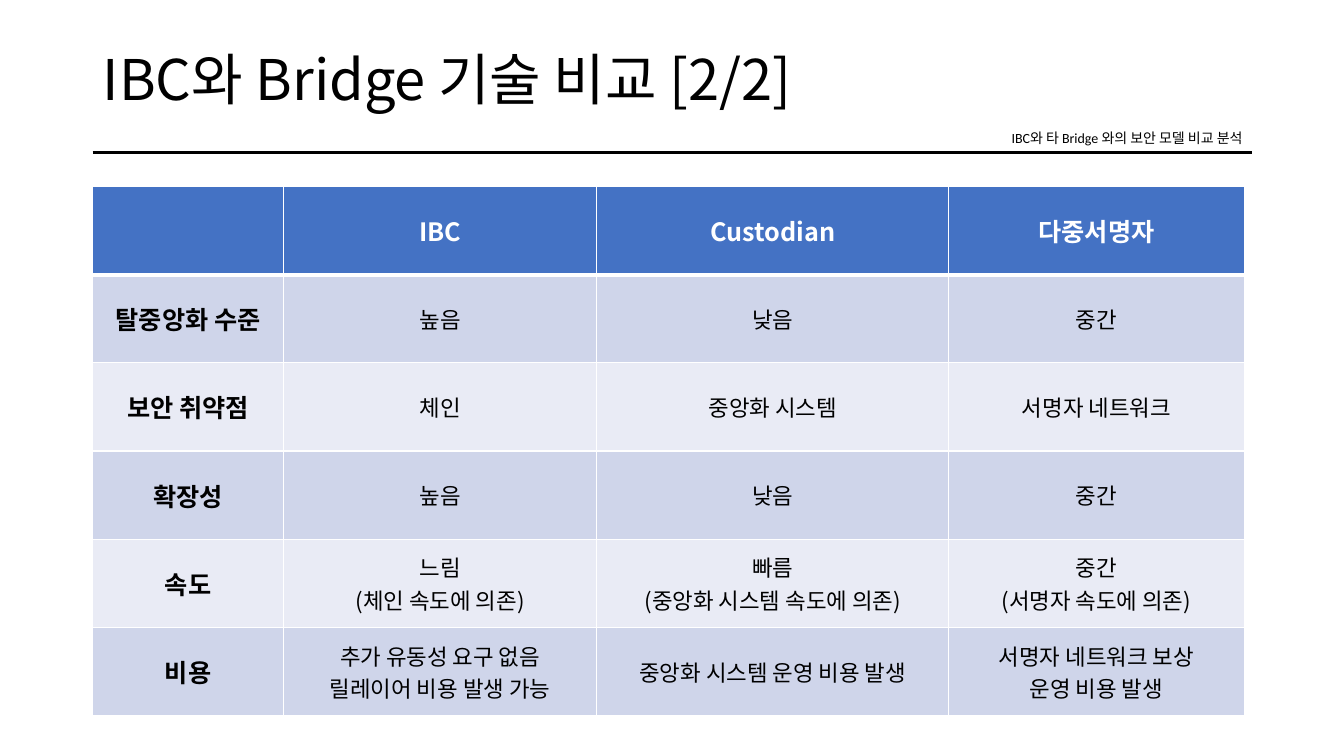
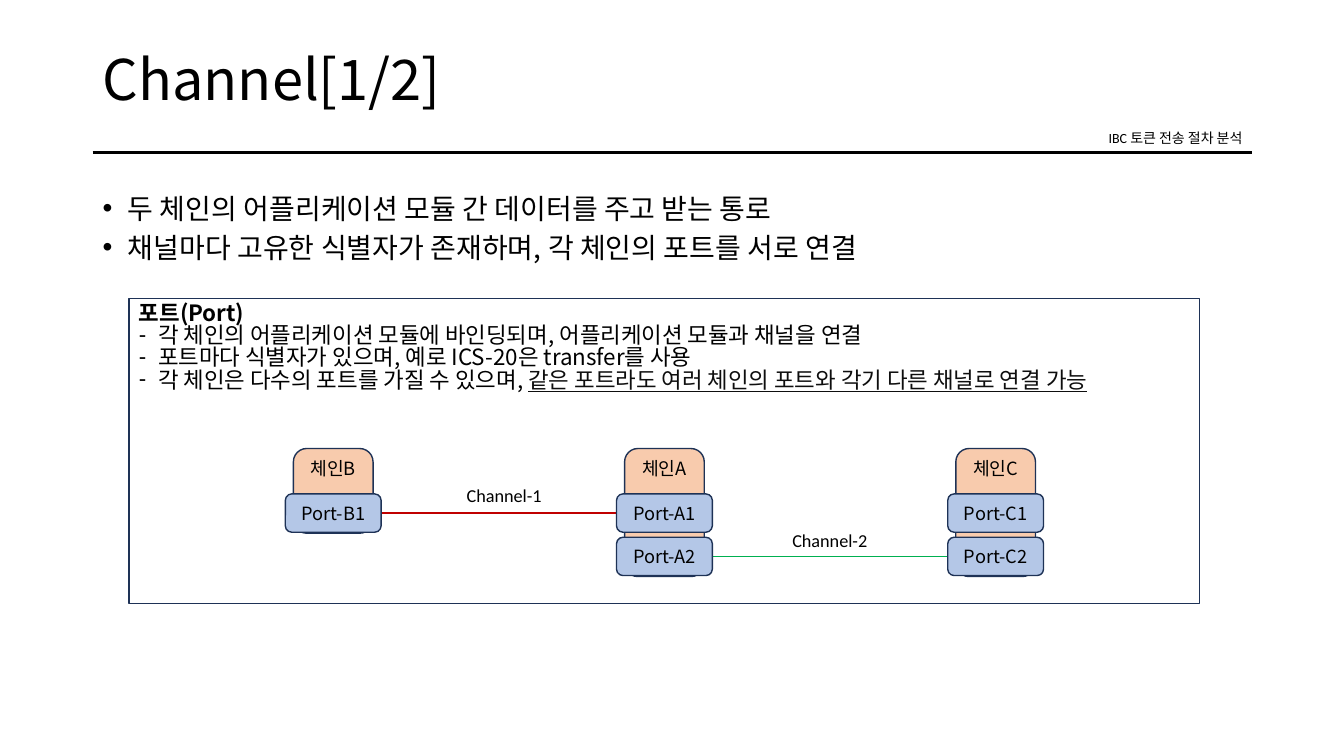
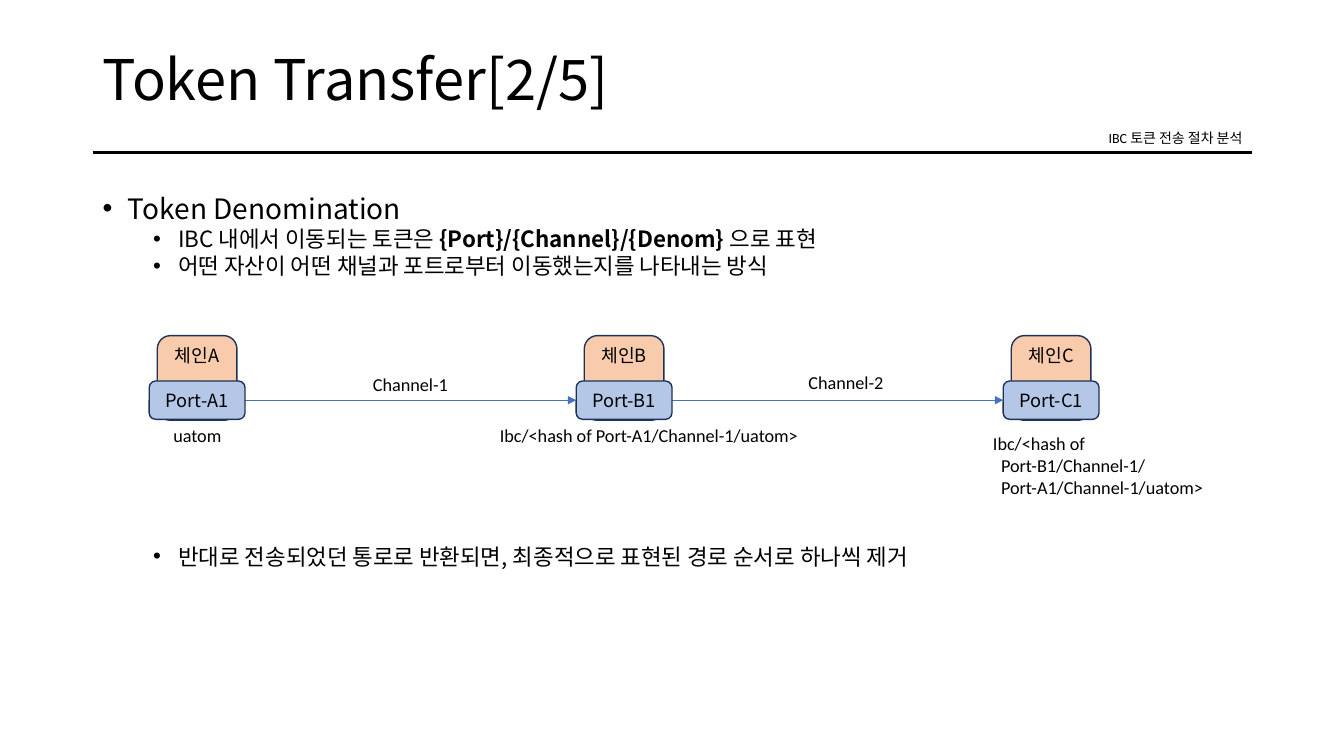
from lxml import etree
from pptx import Presentation
from pptx.dml.color import RGBColor
from pptx.enum import shapes, text
from pptx.oxml.ns import qn
from pptx.util import Inches, Pt

HUE = {"ink": "000000", "soft": "0E0E0E", "white": "FFFFFF", "edge": "1E3256",
       "blue": "4472C4", "odd": "CFD5EA", "even": "E9EBF5",
       "chain": "F8CBAD", "port": "B4C7E7", "red": "C00000", "green": "00B050"}
NOTO, CALI = "Noto Sans CJK KR", "Calibri"
LEFT, WIDE = 0.92, 11.5
PORT_W, PORT_H, PORT_GAP, PORT_TOP = 0.95, 0.38, 0.43, 0.45
CHAIN_W, CHAIN_H = 0.79, 0.84
MID, RIGHT = text.PP_ALIGN.CENTER, text.PP_ALIGN.RIGHT
KIND = shapes.MSO_SHAPE


def rgb(name):
    return RGBColor.from_string(HUE[name])


def sub(node, tag, **attrs):
    return etree.SubElement(node, qn(tag), **attrs)


# ---- Text ----
def add_run(par, words, size=13, font=NOTO, color="ink", bold=False, under=False):
    run = par.add_run()
    run.text = words
    face = run.font
    face.size, face.name, face.bold = Pt(size), font, bold
    face.color.rgb = rgb(color)
    if under:
        face.underline = True
    sub(run.font._element, "a:ea", typeface=NOTO)


def set_par(par, align=None, line=None, gap=0, bullet=None, left=0, hang=0):
    if align is not None:
        par.alignment = align
    if line:
        par.line_spacing = line
    if gap:
        par.space_before = Pt(gap)
    props = par._p.get_or_add_pPr()
    if left:
        props.set("marL", str(Inches(left)))
        props.set("indent", str(Inches(-hang)))
    if bullet:
        sub(props, "a:buFont", typeface="Arial")
        sub(props, "a:buChar", char=bullet)


def put(frame, pars, **fmt):
    """Fill a frame; a paragraph is a string or (runs, format), a run a string or (words, format)."""
    lay = ("align", "line", "gap", "bullet", "left", "hang")
    for i, item in enumerate(pars):
        runs, own = item if isinstance(item, tuple) else (item, {})
        own = {**fmt, **own}
        if i == 0:
            own["gap"] = 0
        par = frame.paragraphs[0] if i == 0 else frame.add_paragraph()
        set_par(par, **{k: v for k, v in own.items() if k in lay})
        face = {k: v for k, v in own.items() if k not in lay}
        for run in [runs] if isinstance(runs, str) else runs:
            words, more = run if isinstance(run, tuple) else (run, {})
            add_run(par, words, **{**face, **more})


def add_text(slide, box, pars, wrap=True, mid=False, **fmt):
    frame = slide.shapes.add_textbox(*map(Inches, box)).text_frame
    frame.word_wrap = wrap
    if mid:
        frame.vertical_anchor = text.MSO_ANCHOR.MIDDLE
    put(frame, pars, **fmt)


def add_label(slide, x, y, w, *pars):
    add_text(slide, (x, y, w, 0.32 + 0.22 * (len(pars) - 1)), pars, wrap=False, font=CALI)


# ---- Shapes and lines ----
def add_box(slide, kind, box, pars, fill=None, mid=False, **fmt):
    shape = slide.shapes.add_shape(kind, *map(Inches, box))
    shape.shadow.inherit = False
    if fill:
        shape.fill.solid()
        shape.fill.fore_color.rgb = rgb(fill)
    else:
        shape.fill.background()
    shape.line.color.rgb = rgb("edge")
    shape.line.width = Pt(1)
    frame = shape.text_frame
    frame.word_wrap = True
    anchor = text.MSO_ANCHOR
    frame.vertical_anchor = anchor.MIDDLE if mid else anchor.TOP
    put(frame, pars, **fmt)


def add_line(slide, x1, x2, y, color, width, arrow=False):
    line = slide.shapes.add_connector(
        shapes.MSO_CONNECTOR.STRAIGHT, *map(Inches, (x1, y, x2, y)))
    line.line.color.rgb = rgb(color)
    line.line.width = Pt(width)
    if arrow:
        sub(line.line._get_or_add_ln(), "a:tailEnd", type="triangle")
    sub(line._element.spPr, "a:effectLst")


# ---- Shared slide head ----
def new_slide(deck, title, topic):
    slide = deck.slides.add_slide(deck.slide_layouts[6])
    add_text(slide, (LEFT, 0.4, WIDE, 0.83), [title], mid=True, size=40, line=0.9)
    add_text(slide, (LEFT, 1.24, WIDE, 0.27), [topic], mid=True,
             size=10, font=CALI, align=RIGHT, line=0.9)
    add_line(slide, LEFT, LEFT + WIDE, 1.51, "ink", 2.25)
    return slide


def add_body(slide, top, height, pars):
    add_text(slide, (LEFT, top, WIDE, height), pars, size=20, line=0.75,
             gap=10, bullet="•", left=0.25, hang=0.25)


# ---- Chains ----
def add_chain(slide, x, y, name, ports):
    tall = CHAIN_H + PORT_GAP * (len(ports) - 1)
    add_box(slide, KIND.ROUNDED_RECTANGLE, (x + (PORT_W - CHAIN_W) / 2, y, CHAIN_W, tall),
            [name], fill="chain", align=MID)
    for i, port in enumerate(ports):
        add_box(slide, KIND.ROUNDED_RECTANGLE,
                (x, y + PORT_TOP + i * PORT_GAP, PORT_W, PORT_H),
                [port], fill="port", mid=True, align=MID)


def add_row(slide, x, y, step, chains, links, **fmt):
    """Chains at equal steps; a link joins chain i to chain i + 1 at port row n."""
    for i, n, color, width in links:
        start = x + i * step
        add_line(slide, start + PORT_W, start + step,
                 y + PORT_TOP + PORT_H / 2 + n * PORT_GAP, color, width, **fmt)
    for i, (name, ports) in enumerate(chains):
        add_chain(slide, x + i * step, y, name, ports)


# ---- Table ----
def edge_cell(cell, head):
    props = cell._tc.get_or_add_tcPr()
    for side in "LRTB":
        width = 3 if head and side == "B" else 1
        line = sub(props, "a:ln" + side, w=str(Pt(width)))
        sub(sub(line, "a:solidFill"), "a:srgbClr", val=HUE["white"])


def add_grid(slide, box, cols, rows):
    table = slide.shapes.add_table(len(rows), len(cols), *map(Inches, box)).table
    for col, width in zip(table.columns, cols):
        col.width = Inches(width)
    for r, row in enumerate(rows):
        table.rows[r].height = Inches(box[3] / len(rows))
        for c, words in enumerate(row):
            cell, head = table.cell(r, c), r == 0
            edge_cell(cell, head)
            cell.fill.solid()
            cell.fill.fore_color.rgb = rgb("blue" if head else "odd" if r % 2 else "even")
            cell.vertical_anchor = text.MSO_ANCHOR.MIDDLE
            bold = head or c == 0
            if words:
                put(cell.text_frame, words.split("\n"), align=MID, bold=bold,
                    size=18 if bold else 16, color="white" if head else "ink")


# ---- Slides ----
def compare(deck):
    slide = new_slide(deck, "IBC와 Bridge 기술 비교 [2/2]",
                      "IBC와 타 Bridge 와의 보안 모델 비교 분석")
    add_grid(slide, (LEFT, 1.85, 11.42, 5.25), (1.89, 3.11, 3.49, 2.93), [
        ("", "IBC", "Custodian", "다중서명자"),
        ("탈중앙화 수준", "높음", "낮음", "중간"),
        ("보안 취약점", "체인", "중앙화 시스템", "서명자 네트워크"),
        ("확장성", "높음", "낮음", "중간"),
        ("속도", "느림\n(체인 속도에 의존)", "빠름\n(중앙화 시스템 속도에 의존)",
         "중간\n(서명자 속도에 의존)"),
        ("비용", "추가 유동성 요구 없음\n릴레이어 비용 발생 가능",
         "중앙화 시스템 운영 비용 발생", "서명자 네트워크 보상\n운영 비용 발생")])


def channel(deck):
    slide = new_slide(deck, "Channel[1/2]", "IBC 토큰 전송 절차 분석")
    add_body(slide, 1.93, 1, [
        "두 체인의 어플리케이션 모듈 간 데이터를 주고 받는 통로",
        "채널마다 고유한 식별자가 존재하며, 각 체인의 포트를 서로 연결"])
    dash = {"bullet": "-", "left": 0.19, "hang": 0.19}
    add_box(slide, KIND.RECTANGLE, (1.28, 2.96, 10.62, 3.03), [
        ("포트(Port)", {"bold": True}),
        ("각 체인의 어플리케이션 모듈에 바인딩되며, 어플리케이션 모듈과 채널을 연결", dash),
        ("포트마다 식별자가 있으며, 예로 ICS-20은 transfer를 사용", dash),
        (["각 체인은 다수의 포트를 가질 수 있으며, ",
          ("같은 포트라도 여러 체인의 포트와 각기 다른 채널로 연결 가능",
           {"font": "Arial", "color": "soft", "under": True})], dash),
    ], size=16, line=0.83, align=text.PP_ALIGN.LEFT)
    add_row(slide, 2.83, 4.45, 3.285,
            [("체인B", ["Port-B1"]), ("체인A", ["Port-A1", "Port-A2"]),
             ("체인C", ["Port-C1", "Port-C2"])],
            [(0, 0, "red", 1.25), (1, 1, "green", 1.25)])
    add_label(slide, 4.53, 4.76, 0.96, "Channel-1")
    add_label(slide, 7.76, 5.2, 0.96, "Channel-2")


def transfer(deck):
    slide = new_slide(deck, "Token Transfer[2/5]", "IBC 토큰 전송 절차 분석")
    deep = {"size": 16, "left": 0.75, "gap": 5}
    add_body(slide, 1.93, 1.2, [
        "Token Denomination",
        (["IBC 내에서 이동되는 토큰은 ",
          ("{Port}/{Channel}/{Denom} ", {"bold": True}), "으로 표현"], deep),
        ("어떤 자산이 어떤 채널과 포트로부터 이동했는지를 나타내는 방식", deep)])
    add_body(slide, 5.4, 0.4, [
        ("반대로 전송되었던 통로로 반환되면, 최종적으로 표현된 경로 순서로 하나씩 제거", deep)])
    add_row(slide, 1.48, 3.33, 4.235,
            [("체인A", ["Port-A1"]), ("체인B", ["Port-B1"]), ("체인C", ["Port-C1"])],
            [(0, 0, "blue", 0.5), (1, 0, "blue", 0.5)], arrow=True)
    add_label(slide, 3.6, 3.65, 0.96, "Channel-1")
    add_label(slide, 7.92, 3.63, 0.96, "Channel-2")
    # Token names under the chains
    add_label(slide, 1.62, 4.16, 0.69, "uatom")
    add_label(slide, 4.86, 4.16, 3.2, "Ibc/<hash of Port-A1/Channel-1/uatom>")
    step = {"left": 0.08}
    add_label(slide, 9.75, 4.24, 2.32, "Ibc/<hash of",
              ("Port-B1/Channel-1/", step), ("Port-A1/Channel-1/uatom>", step))


def main():
    deck = Presentation()
    deck.slide_width, deck.slide_height = Inches(13.33), Inches(7.5)
    for build in (compare, channel, transfer):
        build(deck)
    deck.save("out.pptx")


if __name__ == "__main__":
    main()
